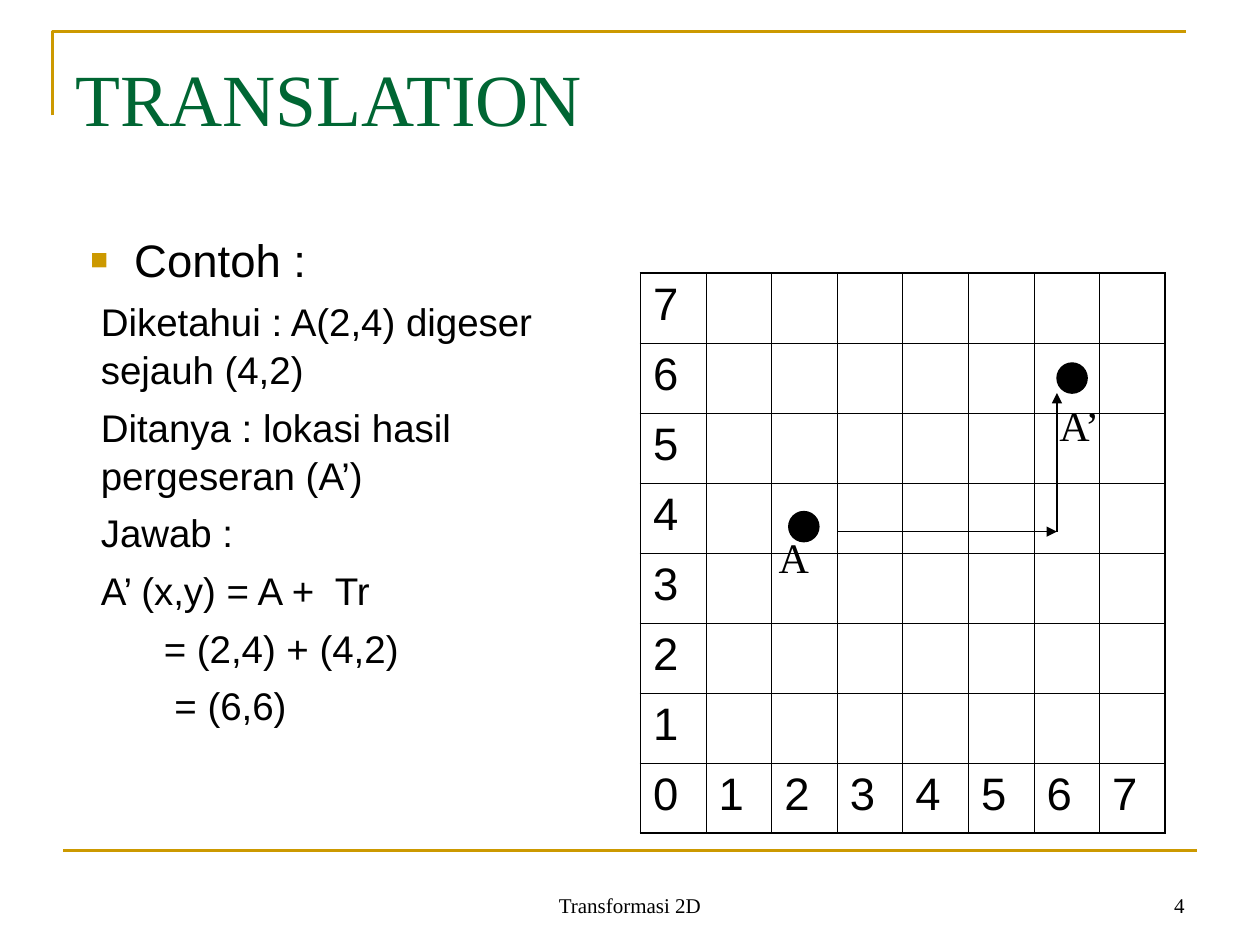
from dataclasses import dataclass

from lxml import etree
from pptx import Presentation
from pptx.dml.color import RGBColor
from pptx.enum.shapes import MSO_CONNECTOR, MSO_SHAPE
from pptx.enum.text import MSO_ANCHOR, MSO_AUTO_SIZE, PP_ALIGN
from pptx.oxml.ns import qn
from pptx.util import Pt

STRAIGHT = MSO_CONNECTOR.STRAIGHT
OVAL = MSO_SHAPE.OVAL
TOP, BOTTOM = MSO_ANCHOR.TOP, MSO_ANCHOR.BOTTOM
LEFT, CENTER, RIGHT = PP_ALIGN.LEFT, PP_ALIGN.CENTER, PP_ALIGN.RIGHT
NO_FIT = MSO_AUTO_SIZE.NONE

SERIF, SANS = "Times New Roman", "Arial"
BLACK, GOLD, GREEN = "000000", "CC9900", "006633"
N = 8
DOT = 17.3


@dataclass
class Label:
    text: str
    x: float
    y: float
    w: float
    h: float
    size: float
    align: PP_ALIGN = LEFT
    anchor: MSO_ANCHOR = TOP
    wrap: bool = True


@dataclass
class Line:
    x1: float
    y1: float
    x2: float
    y2: float
    color: str = BLACK
    width: float = 0.75
    arrow: bool = True


@dataclass
class Dot:
    x: float
    y: float


LABELS = [
    Label("Transformasi 2D", 246, 492, 228, 36, 12, CENTER, BOTTOM),
    Label("4", 516, 492, 168, 36, 12, RIGHT, BOTTOM),
    Label("A", 437.8, 300.2, 31.7, 36, 24, wrap=False),
    Label("A’", 598.3, 224.6, 39.6, 36, 24, wrap=False),
]
LINES = [
    Line(36, 486, 684, 486, GOLD, 1.5, False),
    Line(478.8, 303.8, 604, 303.8),
    Line(604, 303.8, 604, 224.6),
]
DOTS = [Dot(450.7, 292.3), Dot(604, 207.4)]
STEPS = [
    "Diketahui : A(2,4) digeser sejauh (4,2)",
    "Ditanya : lokasi hasil pergeseran (A’)",
    "Jawab :",
    "A’ (x,y) = A +  Tr",
    "\t= (2,4) + (4,2)",
    "\t = (6,6)",
]


def rgb(color: str) -> RGBColor:
    return RGBColor.from_string(color)


def set_attrs(obj, values: dict) -> None:
    for name, value in values.items():
        setattr(obj, name, value)


def set_font(font, size: float, name: str, color: str = BLACK) -> None:
    set_attrs(font, {"size": Pt(size), "name": name})
    font.color.rgb = rgb(color)


def add_el(parent, tag: str, **attrs: str):
    return etree.SubElement(parent, qn(tag), attrs)


def place(sp, x: float, y: float, w: float, h: float) -> None:
    set_attrs(sp, {"left": Pt(x), "top": Pt(y), "width": Pt(w), "height": Pt(h)})


def add_label(slide, label: Label) -> None:
    sp = slide.shapes.add_textbox(Pt(label.x), Pt(label.y), Pt(label.w), Pt(label.h))
    tf = sp.text_frame
    set_attrs(tf, {"word_wrap": label.wrap, "vertical_anchor": label.anchor})
    p = tf.paragraphs[0]
    p.alignment = label.align
    r = p.add_run()
    r.text = label.text
    set_font(r.font, label.size, SERIF)


def add_line(slide, line: Line) -> None:
    sp = slide.shapes.add_connector(
        STRAIGHT, Pt(line.x1), Pt(line.y1), Pt(line.x2), Pt(line.y2))
    sp.line.width = Pt(line.width)
    sp.line.color.rgb = rgb(line.color)
    if line.arrow:
        add_el(sp.line._get_or_add_ln(), "a:tailEnd", type="triangle")
    add_el(sp._element.spPr, "a:effectLst")


def add_dot(slide, dot: Dot) -> None:
    sp = slide.shapes.add_shape(OVAL, Pt(dot.x), Pt(dot.y), Pt(DOT), Pt(DOT))
    sp.shadow.inherit = False
    sp.fill.solid()
    sp.fill.fore_color.rgb = rgb(BLACK)
    sp.line.color.rgb = rgb(BLACK)
    sp.line.width = Pt(0.75)


def add_corner(slide) -> None:
    builder = slide.shapes.build_freeform(30, 66, scale=Pt(1))
    builder.add_line_segments([(30, 18), (678, 18)], close=False)
    sp = builder.convert_to_shape()
    sp.shadow.inherit = False
    sp.fill.background()
    sp.line.color.rgb = rgb(GOLD)
    sp.line.width = Pt(1.5)


def fill_title(sp) -> None:
    place(sp, 36, 21.6, 648, 90)
    tf = sp.text_frame
    set_attrs(tf, {"auto_size": NO_FIT, "vertical_anchor": TOP, "margin_top": Pt(8.4)})
    p = tf.paragraphs[0]
    p.alignment = LEFT
    r = p.add_run()
    r.text = "TRANSLATION"
    set_font(r.font, 42, SERIF, GREEN)


def fill_body(sp) -> None:
    place(sp, 36, 126, 317.5, 356.4)
    tf = sp.text_frame
    set_attrs(tf, {"auto_size": NO_FIT, "vertical_anchor": TOP, "margin_top": Pt(5.3)})
    for i, text in enumerate(["Contoh :", *STEPS]):
        p = tf.paragraphs[0] if i == 0 else tf.add_paragraph()
        pPr = p._p.get_or_add_pPr()
        if i == 0:
            pPr.set("marL", str(Pt(33.5)))
            pPr.set("indent", str(-Pt(25)))
            add_el(add_el(pPr, "a:buClr"), "a:srgbClr", val=GOLD)
            add_el(pPr, "a:buSzPct", val="65000")
            add_el(pPr, "a:buFont", typeface=SANS)
            add_el(pPr, "a:buChar", char="■")
        else:
            p.level = 1
            pPr.set("marL", str(Pt(14.4)))
            pPr.set("indent", "0")
            add_el(pPr, "a:buNone")
            add_el(add_el(pPr, "a:tabLst"), "a:tab", pos=str(Pt(72)), algn="l")
        set_attrs(p, {"space_before": Pt(5.5 if i else 0), "line_spacing": 1.04})
        r = p.add_run()
        r.text = text
        set_font(r.font, 22 if i else 26, SANS)


def add_grid(slide) -> None:
    table = slide.shapes.add_table(N, N, Pt(366), Pt(156), Pt(300), Pt(320)).table
    set_attrs(table, {"first_row": False, "horz_banding": False})
    last = N - 1
    for row in range(N):
        for col in range(N):
            cell = table.cell(row, col)
            outer = {"a:lnL": col == 0, "a:lnR": col == last,
                     "a:lnT": row == 0, "a:lnB": row == last}
            for tag, is_outer in outer.items():
                ln = add_el(cell._tc.get_or_add_tcPr(), tag,
                            w=str(Pt(1.08 if is_outer else 0.45)))
                add_el(add_el(ln, "a:solidFill"), "a:srgbClr", val=BLACK)
            cell.fill.background()
            if col == 0 or row == last:
                r = cell.text_frame.paragraphs[0].add_run()
                r.text = str(last - row if col == 0 else col)
                set_font(r.font, 26, SANS)


def main() -> None:
    prs = Presentation()
    set_attrs(prs, {"slide_width": Pt(720), "slide_height": Pt(540)})
    slide = prs.slides.add_slide(prs.slide_layouts[1])
    add_corner(slide)
    fill_title(slide.shapes.title)
    fill_body(slide.placeholders[1])
    add_grid(slide)
    for dot in DOTS:
        add_dot(slide, dot)
    for label in LABELS:
        add_label(slide, label)
    for line in LINES:
        add_line(slide, line)
    prs.save("out.pptx")


if __name__ == "__main__":
    main()
